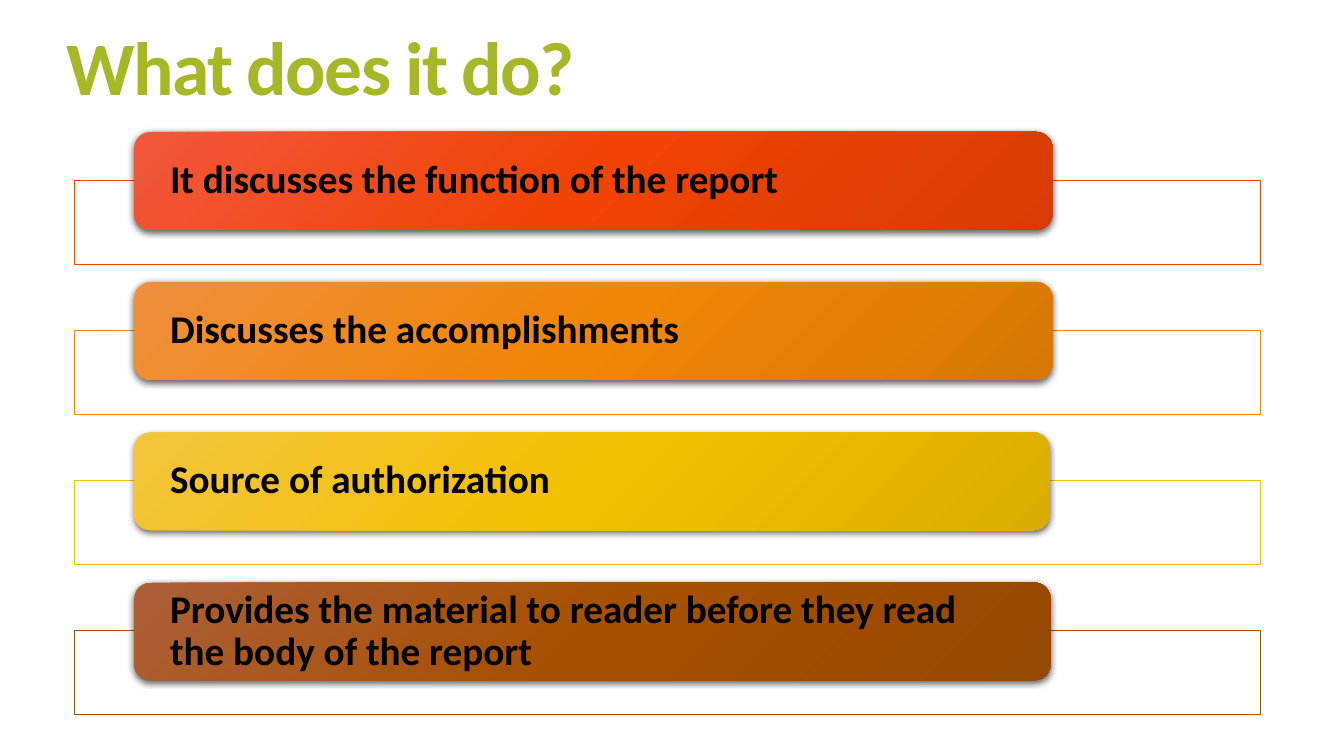
from copy import deepcopy

from lxml import etree
from pptx import Presentation
from pptx.dml.color import RGBColor
from pptx.enum.shapes import MSO_SHAPE
from pptx.enum.text import MSO_ANCHOR, PP_ALIGN
from pptx.oxml.ns import qn
from pptx.util import Emu, Pt

RECT = MSO_SHAPE.RECTANGLE
ROUNDED = MSO_SHAPE.ROUNDED_RECTANGLE
MIDDLE = MSO_ANCHOR.MIDDLE
LEFT = PP_ALIGN.LEFT

COLORS = {
    "title": "A6B727",
    "text": "000000",
    "frame": "FFFFFF",
    "shadow": "000000",
    "red": ("F1573D", "F04304", "D83C04"),
    "orange": ("F08F3D", "EF8606", "D77805"),
    "yellow": ("F3C53D", "F2C100", "D9AD00"),
    "brown": ("AD5F39", "A65001", "954801"),
}
PURPOSES = [
    ("It discusses the function of the report", "red", 911),
    ("Discusses the accomplishments", "orange", 911),
    ("Source of authorization", "yellow", 908),
    ("Provides the material to reader before they read the body of the report", "brown", 909),
]
FIRST_BAR_TOP = 131
ROW_PITCH = 149
FRAME_DROP = 48


class PurposeSlide:
    """Draws titles, frames and gradient bars on one slide in a shared style."""

    FONT = "Calibri"
    EMU_PER_PX = 9144

    def __init__(self, slide):
        self.slide = slide

    @classmethod
    def px(cls, length):
        return Emu(length * cls.EMU_PER_PX)

    def box(self, *lengths):
        return [self.px(length) for length in lengths]

    def set_text(self, shape, text, size, color, line_spacing, inset_x, inset_y):
        frame = shape.text_frame
        frame.text = text
        frame.word_wrap = True
        frame.vertical_anchor = MIDDLE
        frame.margin_left = frame.margin_right = self.px(inset_x)
        frame.margin_top = frame.margin_bottom = self.px(inset_y)
        paragraph = frame.paragraphs[0]
        paragraph.alignment = LEFT
        paragraph.line_spacing = line_spacing
        font = paragraph.runs[0].font
        font.name = self.FONT
        font.size = Pt(size)
        font.bold = True
        font.color.rgb = RGBColor.from_string(COLORS[color])
        return font

    def title(self, text, left, top, width, height):
        heading = self.slide.shapes.add_textbox(*self.box(left, top, width, height))
        font = self.set_text(heading, text, 54, "title", 0.85, 10, 5)
        font._element.set("spc", "-120")

    def frame(self, left, top, width, height, outline):
        frame = self.slide.shapes.add_shape(RECT, *self.box(left, top, width, height))
        frame.shadow.inherit = False
        frame.fill.solid()
        frame.fill.fore_color.rgb = RGBColor.from_string(COLORS["frame"])
        tint = frame._element.spPr.find(f"{qn('a:solidFill')}/{qn('a:srgbClr')}")
        etree.SubElement(tint, qn("a:alpha"), val="90000")
        frame.line.color.rgb = RGBColor.from_string(outline)
        frame.line.width = Pt(0.75)

    def bar(self, text, left, top, width, height, shades):
        bar = self.slide.shapes.add_shape(ROUNDED, *self.box(left, top, width, height))
        bar.line.fill.background()
        self.shade(bar, shades)
        self.cast_shadow(bar)
        self.set_text(bar, text, 28, "text", 0.9, 31, 0)

    def shade(self, bar, shades):
        bar.fill.gradient()
        bar.fill.gradient_angle = 315
        stop_list = bar._element.spPr.find(f".//{qn('a:gsLst')}")
        stop_list.append(deepcopy(stop_list[-1]))
        for index, (stop, shade) in enumerate(zip(bar.fill.gradient_stops, shades)):
            stop.position = index / 2
            stop.color.rgb = RGBColor.from_string(shade)

    def cast_shadow(self, bar):
        bar.shadow.inherit = False
        effects = bar._element.spPr.find(qn("a:effectLst"))
        shadow = etree.SubElement(
            effects, qn("a:outerShdw"), blurRad=str(Pt(4.5)), dist=str(Pt(1.5)),
            dir="5400000", algn="ctr", rotWithShape="0")
        color = etree.SubElement(shadow, qn("a:srgbClr"), val=COLORS["shadow"])
        etree.SubElement(color, qn("a:alpha"), val="63000")


def main():
    deck = Presentation()
    deck.slide_width, deck.slide_height = PurposeSlide.px(1333), PurposeSlide.px(750)
    page = PurposeSlide(deck.slides.add_slide(deck.slide_layouts[6]))
    page.title("What does it do?", 56, 35, 1178, 73)
    for row, (purpose, hue, bar_width) in enumerate(PURPOSES):
        top = FIRST_BAR_TOP + row * ROW_PITCH
        shades = COLORS[hue]
        page.frame(74, top + FRAME_DROP, 1176, 83, shades[1])
        page.bar(purpose, 133, top, bar_width, 97, shades)
    deck.save("out.pptx")


if __name__ == "__main__":
    main()
